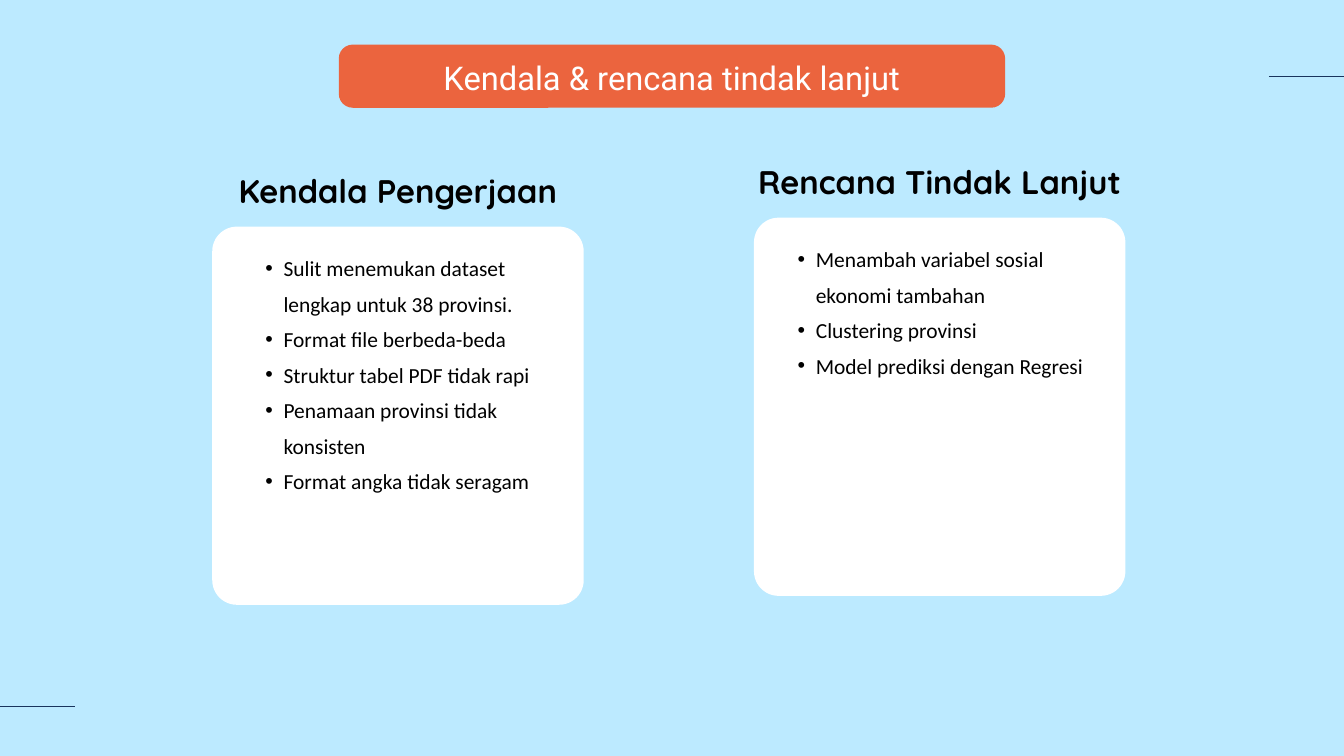
from pptx import Presentation
from pptx.dml.color import RGBColor
from pptx.enum.shapes import MSO_CONNECTOR, MSO_SHAPE
from pptx.enum.text import PP_ALIGN
from pptx.oxml.ns import qn
from pptx.util import Pt
from lxml import etree

ROUNDED, STRAIGHT = MSO_SHAPE.ROUNDED_RECTANGLE, MSO_CONNECTOR.STRAIGHT
LEFT, CENTER = PP_ALIGN.LEFT, PP_ALIGN.CENTER

# Content
TITLE = "Kendala & rencana tindak lanjut"
COLUMNS = [
    {
        "heading": "Kendala Pengerjaan",
        "card": (227.4, 242.8),
        "list_inset": 37.5, "list_width": 338.4, "list_height": 334,
        "items": [
            "Sulit menemukan dataset lengkap untuk 38 provinsi.",
            "Format file berbeda-beda",
            "Struktur tabel PDF tidak rapi",
            "Penamaan provinsi tidak konsisten",
            "Format angka tidak seragam",
        ],
    },
    {
        "heading": "Rencana Tindak Lanjut",
        "card": (807.8, 233.2),
        "list_inset": 27.4, "list_width": 344.2, "list_height": 183.6,
        "items": [
            "Menambah variabel sosial ekonomi tambahan",
            "Clustering provinsi",
            "Model prediksi dengan Regresi",
        ],
    },
]
SKY, ORANGE, NAVY, WHITE, BLACK = "BCEAFF", "EB643E", "19345D", "FFFFFF", "000000"

# Layout, in points
SLIDE_W, SLIDE_H = 1440, 810
CARD_W, CARD_H = 398, 405.2
HEADING_W, HEADING_H, HEADING_RISE = 446.4, 46.8, 66.6
LIST_DROP, LIST_INDENT, BULLET_HANG = 20.2, 38.9, 19.45
EDGE_LINES = [(-26.6, 80.6, 756.7), (1359.4, 1466.6, 82)]


def color(hex_string):
    return RGBColor.from_string(hex_string)


def add_panel(left, top, width, height, radius, fill):
    panel = slide.shapes.add_shape(ROUNDED, Pt(left), Pt(top), Pt(width), Pt(height))
    panel.adjustments[0] = radius / min(width, height)
    panel.shadow.inherit = False
    panel.fill.solid()
    panel.fill.fore_color.rgb = color(fill)
    panel.line.fill.background()


def add_bullet(paragraph):
    properties = paragraph._p.get_or_add_pPr()
    properties.set("marL", str(Pt(LIST_INDENT)))
    properties.set("indent", str(-Pt(BULLET_HANG)))
    etree.SubElement(properties, qn("a:buFont"), typeface="Arial")
    etree.SubElement(properties, qn("a:buChar"), char="•")


def add_text(left, top, width, height, lines, font, size, spacing, ink,
             align=CENTER, bold=False, bulleted=False):
    frame = slide.shapes.add_textbox(Pt(left), Pt(top), Pt(width), Pt(height)).text_frame
    frame.word_wrap = True
    frame.margin_left = frame.margin_right = frame.margin_top = frame.margin_bottom = 0
    for index, line in enumerate(lines):
        paragraph = frame.add_paragraph() if index else frame.paragraphs[0]
        paragraph.text = line
        paragraph.alignment = align
        paragraph.line_spacing = Pt(spacing)
        if bulleted:
            paragraph.level = 1
            add_bullet(paragraph)
        paragraph.font.name = font
        paragraph.font.size = Pt(size)
        paragraph.font.bold = bold
        paragraph.font.color.rgb = color(ink)


presentation = Presentation()
presentation.slide_width, presentation.slide_height = Pt(SLIDE_W), Pt(SLIDE_H)
slide = presentation.slides.add_slide(presentation.slide_layouts[6])
slide.background.fill.solid()
slide.background.fill.fore_color.rgb = color(SKY)

# Title banner
add_panel(363, 47.8, 714, 67.7, 15, ORANGE)
add_text(376.5, 54.7, 687, 47.5, [TITLE], "Roboto", 35, 49, WHITE)

# Lines running off the slide edges
for start, end, y in EDGE_LINES:
    edge_line = slide.shapes.add_connector(STRAIGHT, Pt(start), Pt(y), Pt(end), Pt(y))
    edge_line.line.color.rgb = color(NAVY)
    edge_line.line.width = Pt(1.5)
    etree.SubElement(edge_line._element.spPr, qn("a:effectLst"))

# Columns: card, centred heading above it, bullet list inside it
for column in COLUMNS:
    left, top = column["card"]
    add_panel(left, top, CARD_W, CARD_H, 26.4, WHITE)
    add_text(left + (CARD_W - HEADING_W) / 2, top - HEADING_RISE, HEADING_W, HEADING_H,
             [column["heading"]], "Quicksand", 35, 49, BLACK, bold=True)
    add_text(left + column["list_inset"], top + LIST_DROP,
             column["list_width"], column["list_height"],
             column["items"], "Calibri", 23, 38, BLACK, align=LEFT, bulleted=True)

presentation.save("out.pptx")
